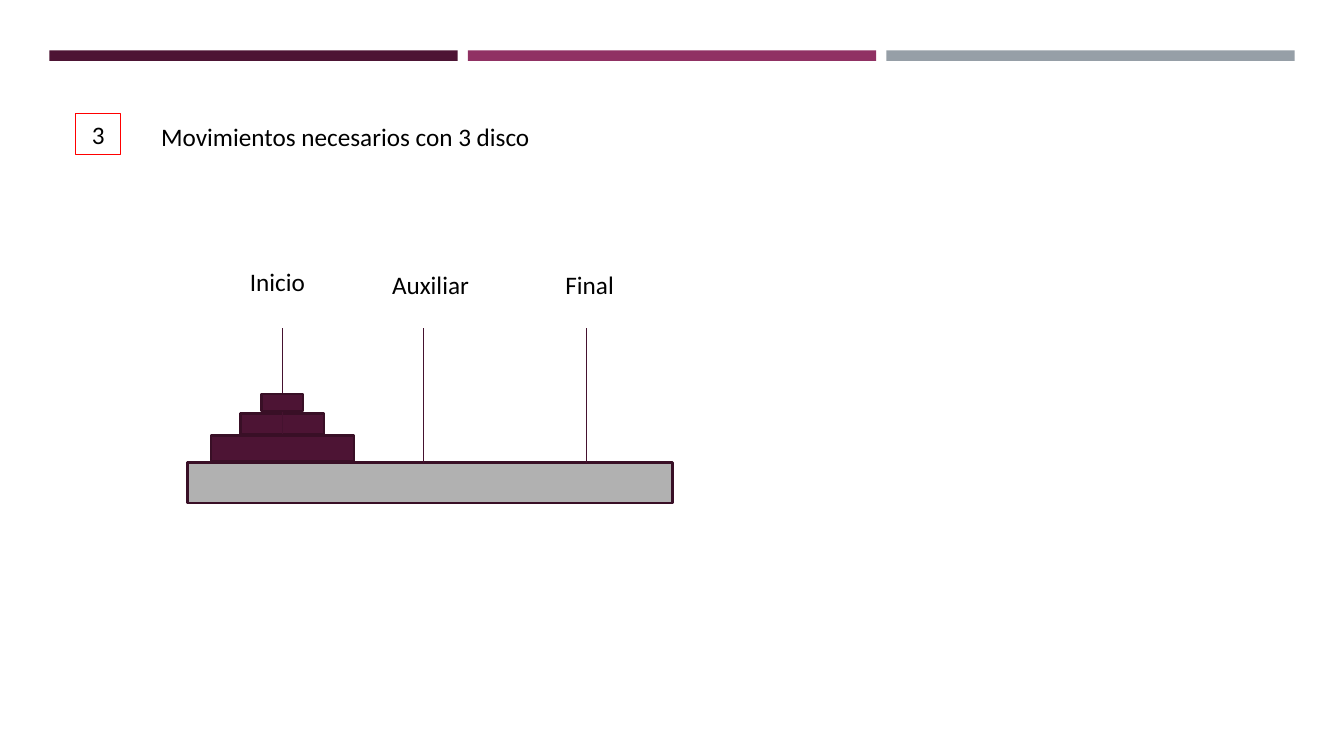
import pptx
import pptx.util
import pptx.dml.color
import pptx.enum.shapes
import pptx.enum.text
import pptx.oxml.ns
import lxml.etree

RGBColor = pptx.dml.color.RGBColor
PLUM = RGBColor(0x4D, 0x14, 0x34)
MAGENTA = RGBColor(0x90, 0x31, 0x63)
SLATE = RGBColor(0x96, 0x9F, 0xA7)
GREY = RGBColor(0xB1, 0xB1, 0xB1)
OUTLINE = RGBColor(0x39, 0x0F, 0x26)
PEG = RGBColor(0x45, 0x12, 0x2F)
RED = RGBColor(0xFF, 0x00, 0x00)
BLACK = RGBColor(0x00, 0x00, 0x00)

deck = pptx.Presentation()
deck.slide_width = pptx.util.Inches(13.33)
deck.slide_height = pptx.util.Inches(7.5)
page = deck.slides.add_slide(deck.slide_layouts[6])
column = deck.slide_width / 133.3
row = deck.slide_height / 75


def add_block(left, top, width, height, fill=None, line=None, weight=1.75):
    block = page.shapes.add_shape(
        pptx.enum.shapes.MSO_SHAPE.RECTANGLE,
        round(left * column), round(top * row),
        round(width * column), round(height * row))
    block.shadow.inherit = False
    if fill is None:
        block.fill.background()
    else:
        block.fill.solid()
        block.fill.fore_color.rgb = fill
    if line is None:
        block.line.fill.background()
    else:
        block.line.color.rgb = line
        block.line.width = pptx.util.Pt(weight)
    return block


def add_text(text, left=0, top=0, width=0, height=4, box=None,
             align=pptx.enum.text.PP_ALIGN.LEFT):
    if box is None:
        box = page.shapes.add_textbox(
            round(left * column), round(top * row),
            round(width * column), round(height * row))
    box.text_frame.word_wrap = True
    box.text_frame.vertical_anchor = pptx.enum.text.MSO_ANCHOR.TOP
    para = box.text_frame.paragraphs[0]
    para.alignment = align
    span = para.add_run()
    span.text = text
    span.font.name = "Calibri"
    span.font.size = pptx.util.Pt(18)
    span.font.color.rgb = BLACK


for index, color in enumerate((PLUM, MAGENTA, SLATE)):
    add_block(4.9 + index * 41.5, 5, 40.5, 1.05, fill=color)

add_text("Movimientos necesarios con 3 disco", 15, 11.5, 41.7)
number_box = add_block(7.5, 11.3, 4.5, 4, line=RED, weight=0.75)
add_text("3", box=number_box, align=pptx.enum.text.PP_ALIGN.CENTER)

base_top = 45.9
first_peg = 28
add_block(18.6, base_top, 48.1, 4, fill=GREY, line=OUTLINE)

discs = [(8.3, 41, 2.1), (4.1, 39.1, 1.7), (14.2, 43.2, 2.6)]
for index, (width, top, height) in enumerate(discs):
    add_block(first_peg - width / 2, top, width, height, fill=PLUM, line=OUTLINE)
    if index == 0:
        for peg_x in (first_peg, 42, 58.2):
            peg = page.shapes.add_connector(
                pptx.enum.shapes.MSO_CONNECTOR.STRAIGHT,
                round(peg_x * column), round(base_top * row),
                round(peg_x * column), round(32.5 * row))
            peg.line.color.rgb = PEG
            peg.line.width = pptx.util.Pt(1)
            lxml.etree.SubElement(
                peg._element.spPr, pptx.oxml.ns.qn("a:effectLst"))

for name, left, top, width in (("Inicio", 23.8, 25.9, 9.3),
                               ("Auxiliar", 37.9, 26.2, 10),
                               ("Final", 55.1, 26.2, 9.3)):
    add_text(name, left, top, width)

deck.save("out.pptx")
